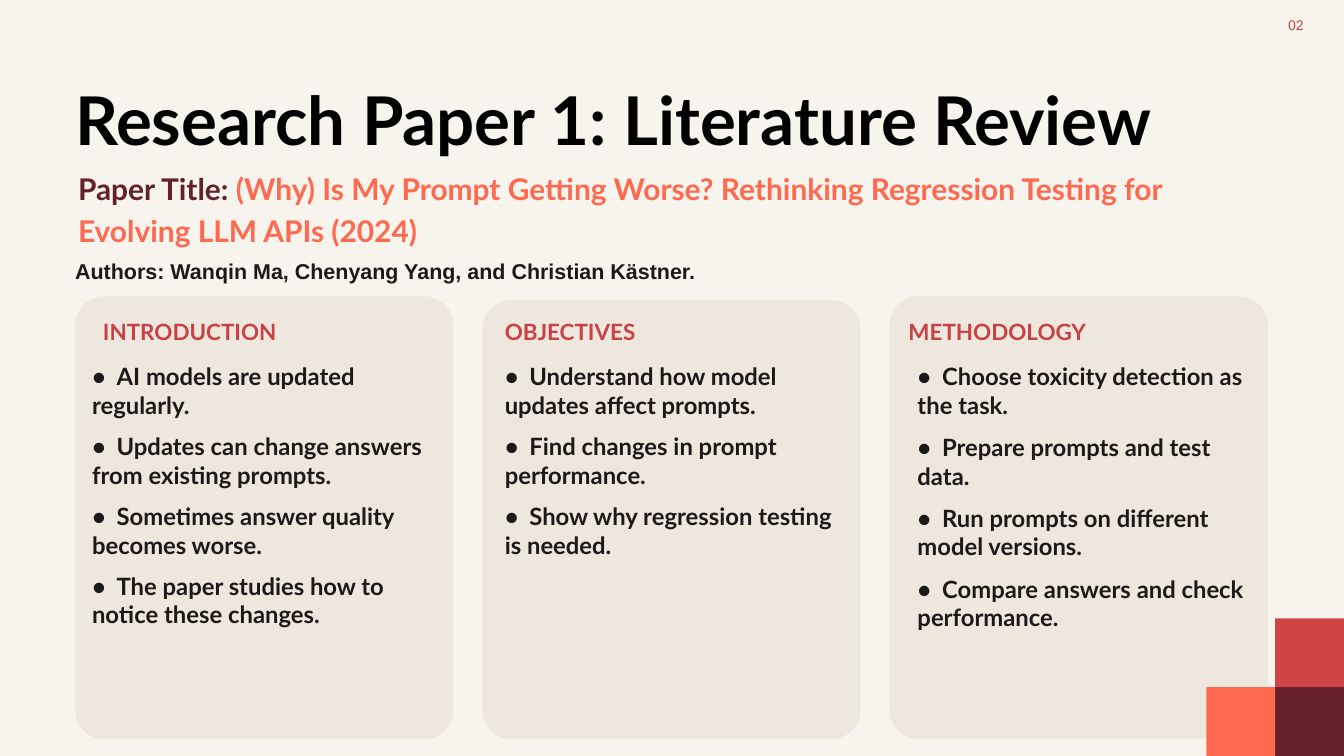
from lxml.etree import SubElement
from pptx import Presentation
from pptx.dml.color import RGBColor
from pptx.enum.shapes import MSO_SHAPE
from pptx.enum.text import PP_ALIGN
from pptx.oxml.ns import qn
from pptx.util import Cm, Pt

# Content
PAGE = "02"
TITLE = "Research Paper 1: Literature Review"
PAPER = [
    ("Paper Title: ", "label"),
    ("(Why) Is My Prompt Getting Worse? Rethinking Regression Testing for "
     "Evolving LLM APIs (2024)", "paper"),
]
AUTHORS = "Authors: Wanqin Ma, Chenyang Yang, and Christian Kästner."
CARDS = [
    dict(head="INTRODUCTION", head_x=3.89, top=11.2, gap=13.6, points=[
        "AI models are updated regularly.",
        "Updates can change answers from existing prompts.",
        "Sometimes answer quality becomes worse.",
        "The paper studies how to notice these changes.",
    ]),
    dict(head="OBJECTIVES", head_x=19.08, top=11.35, gap=13.6, points=[
        "Understand how model updates affect prompts.",
        "Find changes in prompt performance.",
        "Show why regression testing is needed.",
    ]),
    dict(head="METHODOLOGY", head_x=34.34, top=11.2, gap=14.6, points=[
        "Choose toxicity detection as the task.",
        "Prepare prompts and test data.",
        "Run prompts on different model versions.",
        "Compare answers and check performance.",
    ]),
]

# Theme: colours, and per style the font, line height in points and colour
THEME = {
    "colors": dict(bg="F7F4EE", card="EEE7DE", head="C94045", ink="1C1919",
                   title="000000", label="65212A", paper="FF6950", red="CF4545"),
    "styles": {
        "page": (dict(name="Arial", size=Pt(15), bold=False), 18, "head"),
        "title": (dict(name="Lato", size=Pt(72), bold=True), 100.8, "title"),
        "paper": (dict(name="Lato", size=Pt(32), bold=True), 44.8, "paper"),
        "authors": (dict(name="Arial", size=Pt(23), bold=True), 27.6, "ink"),
        "head": (dict(name="Lato", size=Pt(24), bold=True), 28.8, "head"),
        "body": (dict(name="Lato", size=Pt(25.5), bold=True), 30.6, "ink"),
    },
}

# Layout in cm
WIDTH, HEIGHT = 50.8, 28.58
CARD_X, CARD_W, CARD_PITCH, CARD_BOTTOM = 2.84, 14.3, 15.39, 27.94
CORNER = 0.077
BODY_X, BODY_PITCH = 3.48, 15.6
BULLET_TAB = 0.93
TILE = 2.6
TILES = [(1, 1, "label"), (1, 2, "red"), (2, 1, "paper")]  # from right, from bottom


def color(name):
    return RGBColor.from_string(THEME["colors"][name])


def add_block(s, kind, x, y, w, h, fill):
    sp = s.shapes.add_shape(kind, Cm(x), Cm(y), Cm(w), Cm(h))
    sp.shadow.inherit = False
    sp.fill.solid()
    sp.fill.fore_color.rgb = color(fill)
    sp.line.fill.background()
    return sp


def add_text(s, style, x, y, w, h, paras, gap=0, align=PP_ALIGN.LEFT, tab=None):
    """Each paragraph is a list of (text, colour name or None) runs."""
    fmt, leading, ink = THEME["styles"][style]
    tf = s.shapes.add_textbox(Cm(x), Cm(y), Cm(w), Cm(h)).text_frame
    frame = dict(word_wrap=True, margin_left=0, margin_right=0,
                 margin_top=0, margin_bottom=0)
    for key, value in frame.items():
        setattr(tf, key, value)
    for i, runs in enumerate(paras):
        p = tf.add_paragraph() if i else tf.paragraphs[0]
        p.alignment = align
        p.line_spacing = Pt(leading)
        if i:
            p.space_before = Pt(gap)
        if tab:
            tabs = SubElement(p._p.get_or_add_pPr(), qn("a:tabLst"))
            SubElement(tabs, qn("a:tab"), pos=str(Cm(tab)), algn="l")
        for text, run_color in runs:
            r = p.add_run()
            r.text = text
            for key, value in fmt.items():
                setattr(r.font, key, value)
            r.font.color.rgb = color(run_color or ink)


prs = Presentation()
prs.slide_width, prs.slide_height = Cm(WIDTH), Cm(HEIGHT)
s = prs.slides.add_slide(prs.slide_layouts[6])
s.background.fill.solid()
s.background.fill.fore_color.rgb = color("bg")

# Cards
for i, card in enumerate(CARDS):
    sp = add_block(s, MSO_SHAPE.ROUNDED_RECTANGLE, CARD_X + i * CARD_PITCH,
                   card["top"], CARD_W, CARD_BOTTOM - card["top"], "card")
    sp.adjustments[0] = CORNER
    add_text(s, "head", card["head_x"], 12.01, 12.57, 1.04, [[(card["head"], None)]])
    points = [[("•\t" + point, None)] for point in card["points"]]
    add_text(s, "body", BODY_X + i * BODY_PITCH, 13.69, 12.62, 2.6 * len(points),
             points, gap=card["gap"], tab=BULLET_TAB)

# Page number and headings
add_text(s, "page", 47.96, 0.61, 1.32, 0.91, [[(PAGE, None)]], align=PP_ALIGN.RIGHT)
add_text(s, "title", 2.84, 2.46, 43.92, 3.43, [[(TITLE, None)]])
add_text(s, "paper", 2.95, 6.22, 43.71, 3.07, [PAPER])
add_text(s, "authors", 2.84, 9.75, 44.4, 1.02, [[(AUTHORS, None)]])

# Corner tiles
for col, row, fill in TILES:
    add_block(s, MSO_SHAPE.RECTANGLE, WIDTH - col * TILE, HEIGHT - row * TILE,
              TILE, TILE, fill)

prs.save("out.pptx")
